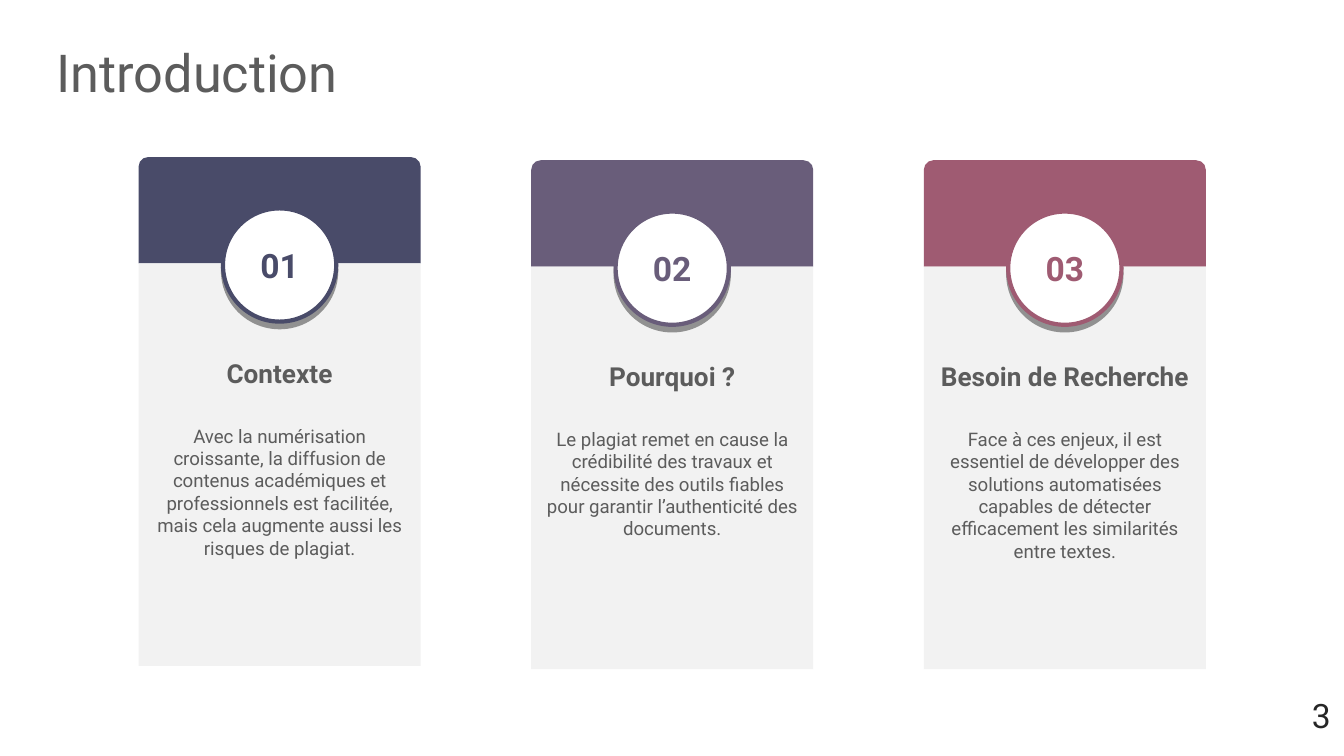
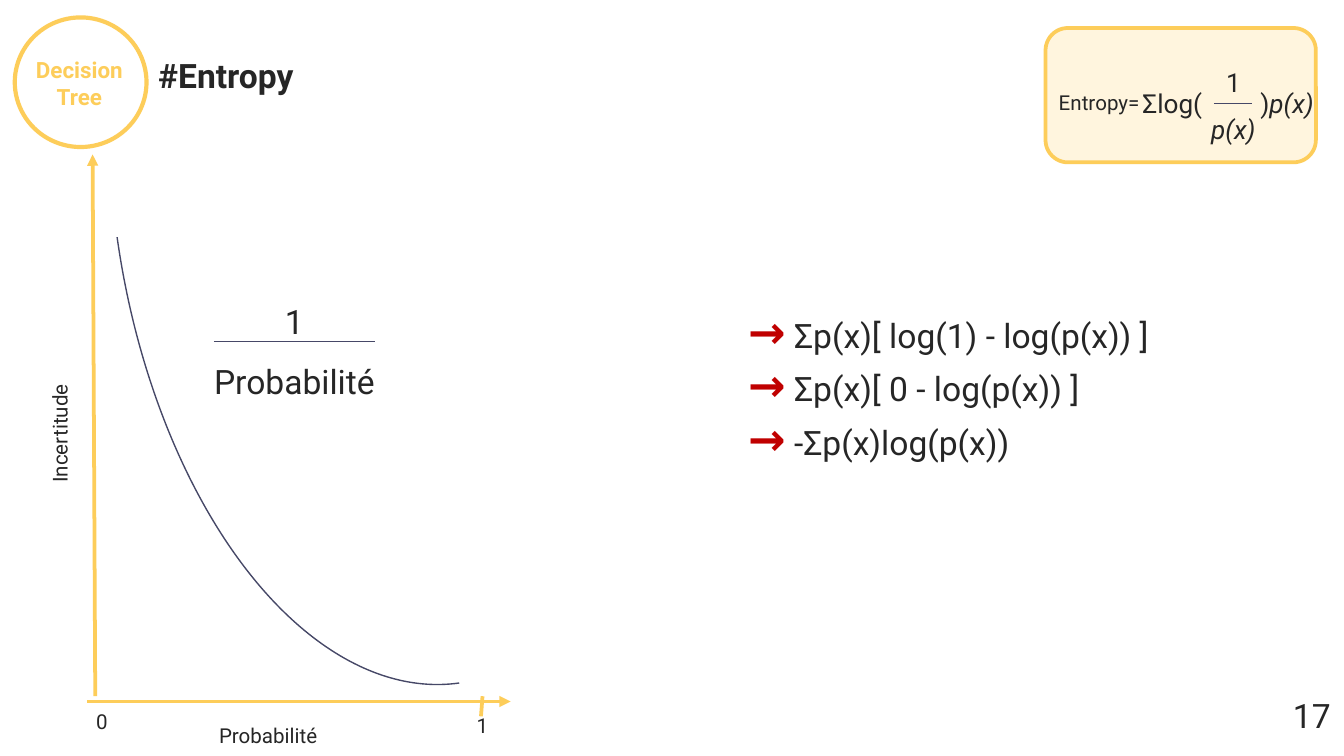
from lxml import etree
from pptx import Presentation
from pptx.dml.color import RGBColor
from pptx.enum.shapes import MSO_CONNECTOR, MSO_SHAPE
from pptx.enum.text import MSO_ANCHOR, PP_ALIGN
from pptx.oxml.ns import qn
from pptx.util import Cm, Pt

LEFT, CENTER, RIGHT = PP_ALIGN.LEFT, PP_ALIGN.CENTER, PP_ALIGN.RIGHT
TOP, MIDDLE = MSO_ANCHOR.TOP, MSO_ANCHOR.MIDDLE
STRAIGHT = MSO_CONNECTOR.STRAIGHT
RECTANGLE, OVAL, ARC = MSO_SHAPE.RECTANGLE, MSO_SHAPE.OVAL, MSO_SHAPE.ARC
ROUNDED, ROUNDED_TOP = MSO_SHAPE.ROUNDED_RECTANGLE, MSO_SHAPE.ROUND_2_SAME_RECTANGLE

FONT = "Roboto"
COLOURS = {
    "white": "FFFFFF", "black": "000000", "ink": "262626", "grey": "5C5C5C",
    "panel": "F2F2F2", "navy": "494B69", "violet": "695D7A", "rose": "9F5B72",
    "yellow": "FDCD5A", "cream": "FFF5DE", "curve": "464867", "red": "C00000",
}
SLIDE_WIDTH, SLIDE_HEIGHT = 25.4, 14.29

# Top, colour, number, heading, text
CARDS = [
    (2.97, "navy", "01", "Contexte",
     "Avec la numérisation croissante, la diffusion de contenus académiques et "
     "professionnels est facilitée, mais cela augmente aussi les risques de plagiat."),
    (3.03, "violet", "02", "Pourquoi ?",
     "Le plagiat remet en cause la crédibilité des travaux et nécessite des outils "
     "fiables pour garantir l’authenticité des documents."),
    (3.03, "rose", "03", "Besoin de Recherche",
     "Face à ces enjeux, il est essentiel de développer des solutions automatisées "
     "capables de détecter efficacement les similarités entre textes."),
]
CARD_LEFT, CARD_PITCH, CARD_WIDTH = 2.62, 7.42, 5.33
HEADER_HEIGHT, BODY_HEIGHT, BADGE_SIZE = 2.01, 7.61, 2.14

# Text, left, top, width, height, rotation
GRAPH_LABELS = [
    ("Probabilité", 3.89, 13.54, 2.6, 0.73, 0),
    ("1", 8.76, 13.36, 0.8, 0.73, 0),
    ("0", 1.57, 13.28, 0.8, 0.73, 0),
    ("Incertitude", -0.18, 7.7, 2.62, 0.73, 270),
]
# Start x, start y, end x, end y, arrowhead
AXES = [
    (1.65, 13.26, 9.65, 13.26, True),
    (1.8, 13.16, 1.75, 2.92, True),
    (9.12, 13.16, 9.09, 13.54, False),
]
STEPS = ["Σp(x)[ log(1) - log(p(x)) ]", "Σp(x)[ 0 - log(p(x)) ]", "-Σp(x)log(p(x))"]


def rgb(name):
    return RGBColor.from_string(COLOURS[name])


def run(text, size, colour="ink", bold=False, italic=False):
    return text, size, colour, bold, italic


def write(shape, paragraphs, align=LEFT, anchor=TOP, spacing=None):
    """Fill a shape with paragraphs, each a list of runs."""
    frame = shape.text_frame
    frame.word_wrap = True
    frame.vertical_anchor = anchor
    for index, runs in enumerate(paragraphs):
        paragraph = frame.add_paragraph() if index else frame.paragraphs[0]
        paragraph.alignment = align
        if spacing:
            paragraph.line_spacing = spacing
        for text, size, colour, bold, italic in runs:
            piece = paragraph.add_run()
            piece.text = text
            font = piece.font
            font.name, font.size = FONT, Pt(size)
            font.bold, font.italic = bold, italic
            font.color.rgb = rgb(colour)
    return frame


def add_text(slide, box, paragraphs, **options):
    shape = slide.shapes.add_textbox(*map(Cm, box))
    write(shape, paragraphs, **options)
    return shape


def add_shape(slide, kind, box, fill=None, line=None, weight=1):
    shape = slide.shapes.add_shape(kind, *map(Cm, box))
    shape.shadow.inherit = False
    if fill:
        shape.fill.solid()
        shape.fill.fore_color.rgb = rgb(fill)
    else:
        shape.fill.background()
    if line:
        shape.line.color.rgb = rgb(line)
        shape.line.width = Pt(weight)
    else:
        shape.line.fill.background()
    return shape


def add_line(slide, ends, colour, weight, arrow=False):
    connector = slide.shapes.add_connector(STRAIGHT, *map(Cm, ends))
    connector.line.color.rgb = rgb(colour)
    connector.line.width = Pt(weight)
    if arrow:
        etree.SubElement(connector.line._get_or_add_ln(), qn("a:tailEnd"), type="triangle")
    etree.SubElement(connector._element.spPr, qn("a:effectLst"))


def add_drop_shadow(shape):
    """Give the shape a hard 3 pt shadow straight below it."""
    effects = shape._element.spPr.find(qn("a:effectLst"))
    shadow = etree.SubElement(effects, qn("a:outerShdw"), blurRad="0",
                              dist=str(Pt(3)), dir="5400000", algn="t", rotWithShape="0")
    colour = etree.SubElement(shadow, qn("a:srgbClr"), val=COLOURS["black"])
    etree.SubElement(colour, qn("a:alpha"), val="40000")


def add_page_number(slide, number):
    band = add_shape(slide, RECTANGLE, (0, 13.02, SLIDE_WIDTH, 1.27), "white")
    write(band, [[run(number, 18)]], align=RIGHT)


def add_fraction(slide, box, bar, denominator, size, italic=False):
    add_text(slide, box, [[run("1", size)], [run(denominator, size, italic=italic)]],
             align=CENTER, spacing=1.5)
    add_line(slide, bar, "curve", 0.75)


def add_card(slide, left, top, colour, heading, text):
    header = add_shape(slide, ROUNDED_TOP, (left, top, CARD_WIDTH, HEADER_HEIGHT), colour)
    header.adjustments[0] = 0.09
    body = add_shape(slide, RECTANGLE,
                     (left, top + HEADER_HEIGHT, CARD_WIDTH, BODY_HEIGHT), "panel")
    frame = write(body, [[run(heading, 14, "grey", bold=True)], [run(text, 10, "grey")]],
                  align=CENTER)
    frame.margin_top = Cm(1.78)
    frame.paragraphs[1].space_before = Pt(19)


def add_badge(slide, left, top, colour, number):
    """Place the numbered circle on the lower edge of a card header."""
    badge = add_shape(slide, OVAL, (left + (CARD_WIDTH - BADGE_SIZE) / 2,
                                    top + HEADER_HEIGHT - BADGE_SIZE / 2 + 0.03,
                                    BADGE_SIZE, BADGE_SIZE), "white", colour, 2.25)
    add_drop_shadow(badge)
    write(badge, [[run(number, 18, colour, bold=True)]], align=CENTER, anchor=MIDDLE)


def build_introduction(slide):
    title = add_text(slide, (1.07, 0.79, 23.23, 1.14), [[run("Introduction", 28, "grey")]],
                     anchor=MIDDLE)
    frame = title.text_frame
    frame.margin_left = frame.margin_right = frame.margin_top = frame.margin_bottom = 0
    lefts = [CARD_LEFT + index * CARD_PITCH for index in range(len(CARDS))]
    for left, (top, colour, number, heading, text) in zip(lefts, CARDS):
        add_card(slide, left, top, colour, heading, text)
    for left, (top, colour, number, heading, text) in zip(lefts, CARDS):
        add_badge(slide, left, top, colour, number)
    add_page_number(slide, "3")


def build_entropy(slide):
    add_page_number(slide, "17")
    add_shape(slide, OVAL, (0.28, 0.33, 2.49, 2.45), line="yellow", weight=2.25)
    add_text(slide, (0.05, 0.94, 2.9, 1.27),
             [[run("Decision Tree", 12, "yellow", bold=True)]], align=CENTER)
    add_shape(slide, ROUNDED, (19.76, 0.53, 5.11, 2.54), "cream", "yellow", 2)
    add_text(slide, (19.76, 1.57, 2.21, 0.73), [[run("Entropy=", 11)]])
    add_text(slide, (2.74, 0.91, 4.65, 1.02), [[run("#Entropy", 18, bold=True)]])

    for *ends, arrow in AXES:
        add_line(slide, ends, "yellow", 2, arrow)
    curve = add_shape(slide, ARC, (2.16, -5.49, 10.46, 18.49), line="curve", weight=0.75)
    curve.rotation = 172
    for text, *box, rotation in GRAPH_LABELS:
        add_text(slide, box, [[run(text, 11)]]).rotation = rotation
    add_fraction(slide, (3.61, 5.18, 3.91, 2.54), (4.04, 6.45, 7.09, 6.45),
                 "Probabilité", 18)

    add_text(slide, (21.34, 1.52, 1.9, 0.86), [[run("Σlog(", 14)]])
    add_text(slide, (23.57, 1.52, 1.83, 0.86), [[run(")", 14), run("p(x)", 14, italic=True)]])
    add_fraction(slide, (22.28, 0.84, 2.06, 2.03), (22.94, 1.96, 23.67, 1.96),
                 "p(x)", 14, italic=True)
    add_text(slide, (13.89, 5.61, 8.74, 4.88),
             [[run("→", 24, "red", bold=True), run(" " + step, 18)] for step in STEPS])


def main():
    presentation = Presentation()
    presentation.slide_width = Cm(SLIDE_WIDTH)
    presentation.slide_height = Cm(SLIDE_HEIGHT)
    blank = presentation.slide_layouts[6]
    for build in (build_introduction, build_entropy):
        build(presentation.slides.add_slide(blank))
    presentation.save("out.pptx")


if __name__ == "__main__":
    main()
